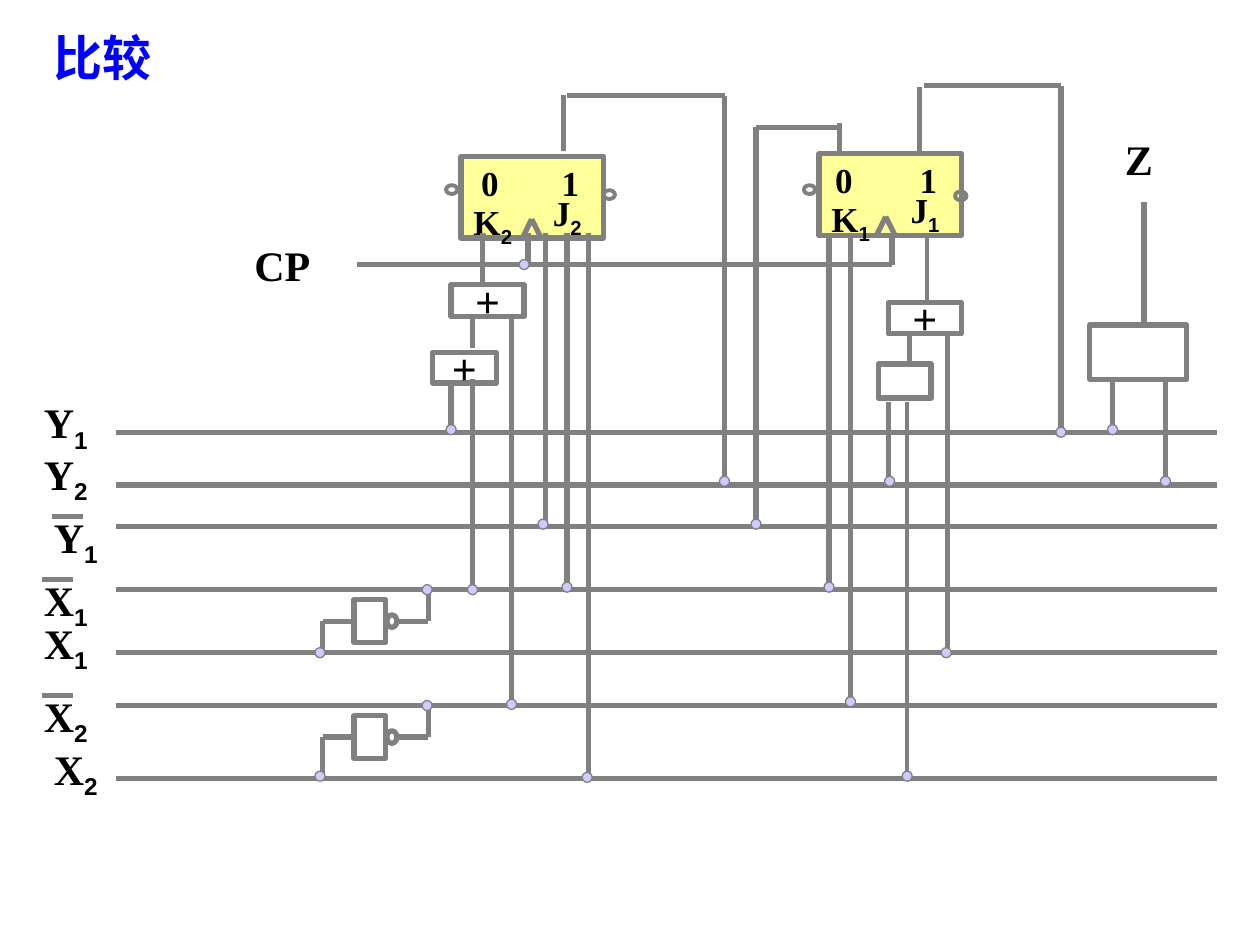
from lxml import etree
from pptx import Presentation
from pptx import util as u
from pptx.dml.color import RGBColor
from pptx.enum import shapes, text
from pptx.oxml.ns import qn

SCALE = u.Inches(1) // 100  # 100 px to the inch
COLORS = {"wire": "808080", "latch": "FFFF99", "node": "CCCCFF",
          "title": "0000FF", "ink": "000000"}
SERIF, SANS = "Times New Roman", "Arial"
BUS_LEFT, BUS_RIGHT = 92, 966

# label, subscript, label left, label top, line y, inverted
BUSES = [
    ("Y", "1", 25, 310, 343, False),
    ("Y", "2", 25, 351, 385, False),
    ("Y", "1", 33, 401, 418, True),
    ("X", "1", 25, 451, 468, True),
    ("X", "1", 25, 485, 518, False),
    ("X", "2", 25, 543, 560, True),
    ("X", "2", 33, 585, 618, False),
]


def px(value):
    return u.Emu(int(value * SCALE))


def rgb(name):
    return RGBColor.from_string(COLORS[name])


def style_run(run, size, font, color="ink", bold=True):
    run.font.size = u.Pt(size)
    run.font.name = font
    run.font.bold = bold
    run.font.color.rgb = rgb(color)


def label(slide, wording, left, top, width, height, size=24, sub="",
          font=SERIF, color="ink"):
    box = slide.shapes.add_textbox(px(left), px(top), px(width), px(height))
    box.text_frame.word_wrap = True
    paragraph = box.text_frame.paragraphs[0]
    paragraph.text = wording
    style_run(paragraph.runs[0], size, font, color)
    if sub:
        index = paragraph.add_run()
        index.text = sub
        style_run(index, size, SANS, color)
        index._r.get_or_add_rPr().set("baseline", "-25000")


def wire(slide, x1, y1, x2, y2, weight=3):
    line = slide.shapes.add_connector(
        shapes.MSO_CONNECTOR.STRAIGHT, px(x1), px(y1), px(x2), px(y2))
    line.line.color.rgb = rgb("wire")
    line.line.width = u.Pt(weight)
    etree.SubElement(line._element.spPr, qn("a:effectLst"))
    return line


def path_of_wires(slide, *points):
    for start, end in zip(points, points[1:]):
        wire(slide, *start, *end)


def outline(slide, kind, left, top, width, height, weight=3, fill=None):
    shape = slide.shapes.add_shape(kind, px(left), px(top), px(width), px(height))
    shape.shadow.inherit = False
    if fill:
        shape.fill.solid()
        shape.fill.fore_color.rgb = rgb(fill)
    else:
        shape.fill.background()
    shape.line.color.rgb = rgb("wire")
    shape.line.width = u.Pt(weight)
    return shape


def gate(slide, left, top, width, height, fill=None):
    return outline(slide, shapes.MSO_SHAPE.RECTANGLE, left, top, width, height, fill=fill)


def bubble(slide, left, top, width=9, height=7, weight=2.25):
    outline(slide, shapes.MSO_SHAPE.OVAL, left, top, width, height, weight)


def node(slide, x, y):
    """Junction dot centred on (x, y)."""
    outline(slide, shapes.MSO_SHAPE.OVAL, x - 4, y - 4, 8, 8, 0.75, "node")


def xor_gate(slide, left, top, width=58, height=25):
    frame = gate(slide, left, top, width, height).text_frame
    frame.word_wrap = False
    frame.vertical_anchor = text.MSO_ANCHOR.MIDDLE
    sign = frame.paragraphs[0]
    sign.text = "+"
    sign.alignment = text.PP_ALIGN.CENTER
    style_run(sign.runs[0], 24, SANS, bold=False)


def flip_flop(slide, left, top, sub, zero, clock, left_bubble, right_bubble):
    """JK latch; the last four arguments are offsets from its corner."""
    gate(slide, left, top, 113, 65, "latch")
    for dx, dy in (left_bubble, right_bubble):
        bubble(slide, left + dx, top + dy)
    for mark, index, dx, dy in (("0", "", zero, -1), ("1", "", 70, -1),
                                ("J", sub, 63, 23), ("K", sub, 0, 30)):
        label(slide, mark, left + dx, top + dy, 53, 43, 20, index)
    for side in (-7, 7):
        wire(slide, left + clock, top + 50, left + clock + side, top + 64)


def inverter(slide, left, axis, drop):
    """NOT gate on a horizontal axis, from the bus below to the one above."""
    wire(slide, left, axis, left, axis + drop)
    body = gate(slide, left + 25, axis - 17, 25, 34)
    wire(slide, left, axis, left + 25, axis).end_connect(body, 1)
    bubble(slide, left + 51, axis - 5, 8, 10, 3)
    path_of_wires(slide, (left + 59, axis), (left + 84, axis), (left + 84, axis - 25))
    node(slide, left + 83, axis - 25)
    node(slide, left - 2, axis + drop)


def output_gate(slide, left, top):
    gate(slide, left, top, 77, 43)
    wire(slide, left + 43, top, left + 43, top - 98)
    label(slide, "Z", left + 18, top - 157, 58, 50)
    for dx, bus, dot in ((18, 343, 341), (60, 385, 382)):
        wire(slide, left + dx, top + 43, left + dx, bus)
        node(slide, left + dx, dot)


def buses(slide):
    for name, sub, left, top, y, inverted in BUSES:
        wire(slide, BUS_LEFT, y, BUS_RIGHT, y)
        label(slide, name, left, top, 67, 50, sub=sub)
        if inverted:
            wire(slide, left + 8, top + 9, left + 33, top + 9)


def clock_line(slide):
    label(slide, "CP", 192, 185, 92, 50)
    path_of_wires(slide, (283, 210), (708, 210), (708, 185))
    wire(slide, 419, 210, 419, 185)
    node(slide, 416, 210)


def feedback(slide):
    """Latch outputs led over the top and down to their buses."""
    for stem, stem_top, stem_foot, start, end, top, dot in (
            (447, 75, 120, 450, 575, 76, 382),
            (666, 98, 123, 667, 600, 101, 416),
            (730, 69, 122, 733, 842, 68, 343)):
        wire(slide, stem, stem_foot, stem, stem_top)
        path_of_wires(slide, (start, top), (end, top), (end, dot))
        node(slide, end, dot)


def input_logic(slide):
    """Gates below the latches and their taps on the buses."""
    xor_gate(slide, 358, 226)
    xor_gate(slide, 343, 280, 51, 24)
    xor_gate(slide, 705, 240)
    gate(slide, 697, 289, 42, 27)
    for x, top, foot, weight in ((383, 185, 226, 3), (375, 251, 276, 3),
                                 (722, 265, 290, 3), (736, 185, 240, 2.25)):
        wire(slide, x, top, x, foot, weight)
    # wire x, top, foot, then dot x and y
    for x, top, foot, dot_x, dot_y in (
            (358, 303, 343, 358, 341), (375, 301, 468, 375, 468),
            (406, 251, 560, 406, 559), (433, 185, 418, 431, 416),
            (450, 185, 468, 450, 466), (467, 185, 618, 466, 617),
            (658, 185, 468, 658, 466), (675, 185, 560, 675, 557),
            (705, 319, 382, 706, 382), (752, 264, 517, 751, 518)):
        wire(slide, x, top, x, foot)
        node(slide, dot_x, dot_y)
    wire(slide, 720, 319, 720, 618, 2.25)
    node(slide, 720, 616)


def main():
    deck = Presentation()
    deck.slide_width, deck.slide_height = px(1000), px(750)
    slide = deck.slides.add_slide(deck.slide_layouts[6])
    label(slide, "比较", 33, 17, 483, 57, 28, font=SANS, color="title")
    buses(slide)
    flip_flop(slide, 366, 124, "2", 6, 56, (-12, 23), (113, 27))
    flip_flop(slide, 650, 122, "1", 3, 53, (-12, 25), (108, 30))
    clock_line(slide)
    feedback(slide)
    inverter(slide, 256, 493, 25)
    inverter(slide, 256, 585, 31)
    output_gate(slide, 865, 258)
    input_logic(slide)
    deck.save("out.pptx")


if __name__ == "__main__":
    main()
